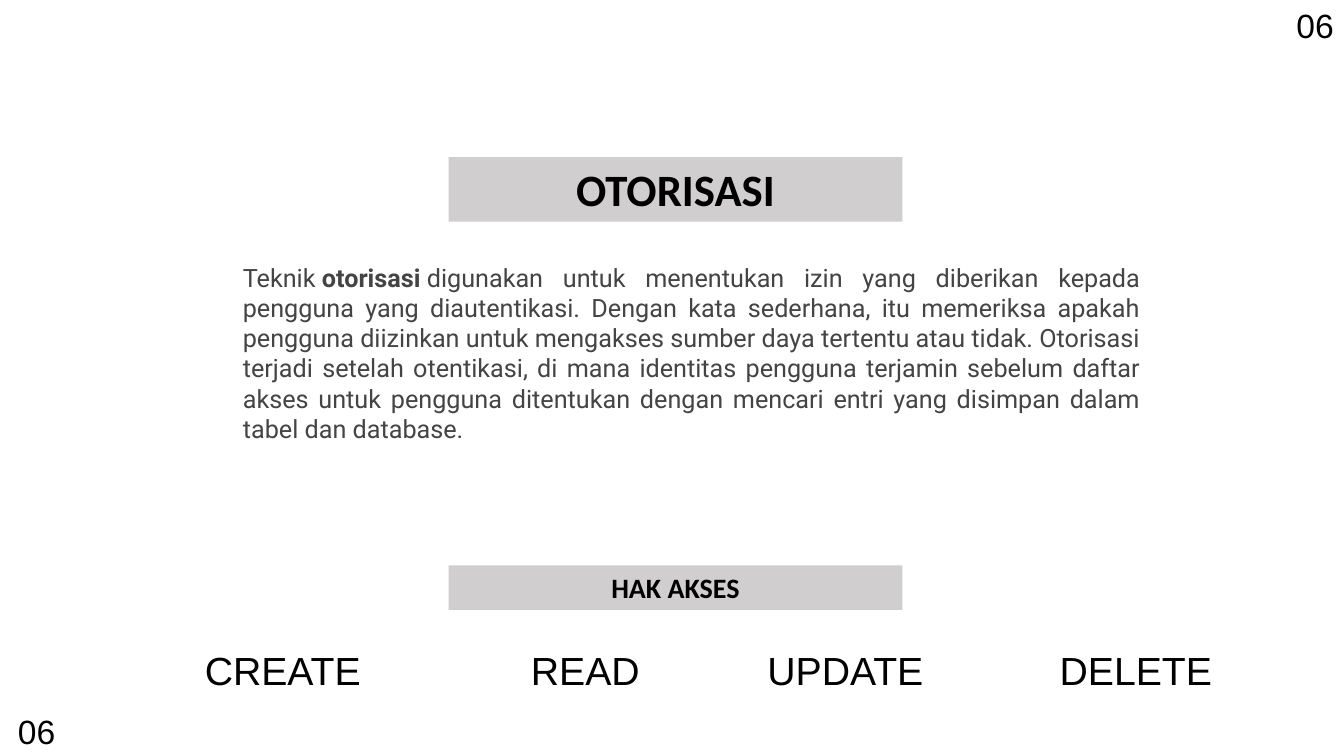
from dataclasses import dataclass

from pptx import Presentation
from pptx.dml import color
from pptx.enum import shapes, text
from pptx import util as u

HUES = {"ink": "000000", "body": "444444", "bar": "D0CECE"}
ALIGN = text.PP_ALIGN

deck = Presentation()
deck.slide_width, deck.slide_height = u.Inches(13.33), u.Inches(7.5)
slide = deck.slides.add_slide(deck.slide_layouts[6])

# Grid of 100 columns by 100 rows
COL, ROW = deck.slide_width / 100, deck.slide_height / 100


@dataclass
class Label:
    words: list[str]  # every second piece is bold
    col: float
    row: float
    wide: float
    high: float
    size: int
    font: str = "Arial"
    hue: str = "ink"
    align: ALIGN = ALIGN.CENTER
    bar: bool = False


def tint(name: str) -> color.RGBColor:
    return color.RGBColor.from_string(HUES[name])


def draw(label: Label) -> None:
    area = [int(n) for n in (label.col * COL, label.row * ROW,
                             label.wide * COL, label.high * ROW)]
    if label.bar:
        box = slide.shapes.add_shape(shapes.MSO_SHAPE.RECTANGLE, *area)
        box.shadow.inherit = False
        box.fill.solid()
        box.fill.fore_color.rgb = tint("bar")
        box.line.fill.background()
    else:
        box = slide.shapes.add_textbox(*area)
    frame = box.text_frame
    frame.word_wrap = True
    frame.vertical_anchor = text.MSO_ANCHOR.TOP
    frame.auto_size = text.MSO_AUTO_SIZE.SHAPE_TO_FIT_TEXT
    para = frame.paragraphs[0]
    para.alignment = label.align
    for i, piece in enumerate(label.words):
        run = para.add_run()
        run.text = piece
        run.font.name = label.font
        run.font.size = u.Pt(label.size)
        run.font.bold = label.bar or i % 2 == 1
        run.font.color.rgb = tint(label.hue)


# Definition
draw(Label([
    "Teknik\u00a0", "otorisasi\u00a0",
    "digunakan untuk menentukan izin yang diberikan kepada pengguna yang "
    "diautentikasi. Dengan kata sederhana, itu memeriksa apakah pengguna "
    "diizinkan untuk mengakses sumber daya tertentu atau tidak. Otorisasi "
    "terjadi setelah otentikasi, di mana identitas pengguna terjamin sebelum "
    "daftar akses untuk pengguna ditentukan dengan mencari entri yang "
    "disimpan dalam tabel dan database.",
], 17.33, 34, 68.27, 25.6, 18, "Roboto", "body", ALIGN.JUSTIFY))

# Heading bars
for title, row, high, size in (("OTORISASI", 20.8, 8.53, 32),
                               ("HAK AKSES", 74.8, 5.87, 20)):
    draw(Label([title], 33.38, row, 33.76, high, size, "Calibri", bar=True))

# Access rights, each centred on its column
WIDE = 36.83
for right, mid in (("CREATE", 21.04), ("READ", 43.55),
                   ("UPDATE", 62.9), ("DELETE", 84.51)):
    draw(Label([right], mid - WIDE / 2, 84.8, WIDE, 7.6, 28))

# Page numbers in opposite corners
for col, row in ((95.72, 0), (0.6, 93.33)):
    draw(Label(["06"], col, row, 11.63, 6.67, 24, align=ALIGN.LEFT))

deck.save("out.pptx")
